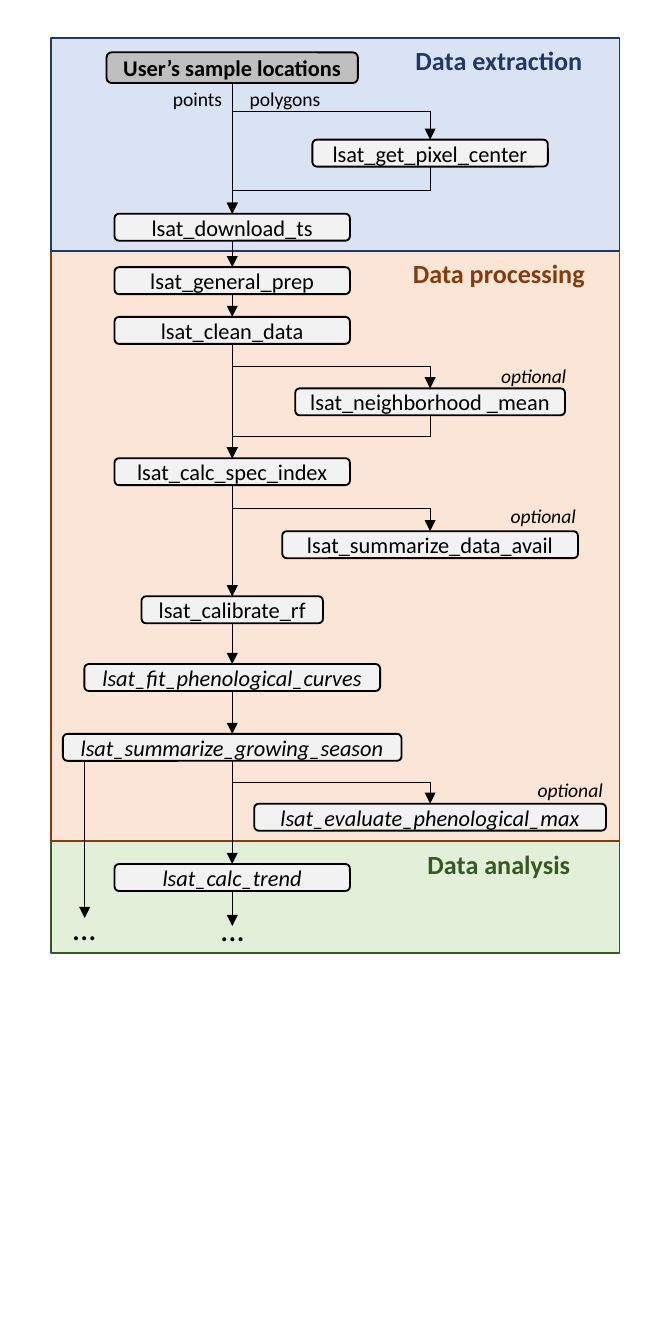
from typing import NamedTuple

from lxml import etree
from pptx import Presentation
from pptx.dml.color import RGBColor
from pptx.enum.shapes import MSO_CONNECTOR, MSO_SHAPE
from pptx.enum.text import MSO_ANCHOR, PP_ALIGN
from pptx.oxml.ns import qn
from pptx.util import Cm, Pt

RECT, ROUNDED = MSO_SHAPE.RECTANGLE, MSO_SHAPE.ROUNDED_RECTANGLE
STRAIGHT, ELBOW = MSO_CONNECTOR.STRAIGHT, MSO_CONNECTOR.ELBOW
LEFT, CENTER = PP_ALIGN.LEFT, PP_ALIGN.CENTER
MIDDLE = MSO_ANCHOR.MIDDLE

BLACK = RGBColor(0x00, 0x00, 0x00)
GREY = RGBColor(0xBF, 0xBF, 0xBF)
PALE_GREY = RGBColor(0xF2, 0xF2, 0xF2)
BLUE, PALE_BLUE = RGBColor(0x20, 0x38, 0x64), RGBColor(0xDA, 0xE3, 0xF3)
BROWN, PALE_ORANGE = RGBColor(0x84, 0x3C, 0x0B), RGBColor(0xFB, 0xE5, 0xD6)
GREEN, PALE_GREEN = RGBColor(0x38, 0x57, 0x23), RGBColor(0xE2, 0xF0, 0xD9)

FONT = "Calibri"
MAIN, SIDE = 4.39, 8.13  # centre lines of the two columns, in cm
PANEL_LEFT, PANEL_WIDTH, TITLE_CENTER = 0.97, 10.74, 9.43
TOP_SITE, BOTTOM_SITE = 0, 2


class Panel(NamedTuple):
    title: str
    title_width: float
    top: float
    height: float
    color: RGBColor
    fill: RGBColor


class Step(NamedTuple):
    text: str
    center: float
    top: float
    width: float = 4.45
    height: float = 0.51
    italic: bool = False
    bold: bool = False
    fill: RGBColor = PALE_GREY


class Label(NamedTuple):
    text: str
    left: float
    top: float
    width: float = 1.78
    height: float = 0.71
    size: float = 10.5
    italic: bool = True


PANELS = [
    Panel("Data analysis", 3.23, 15.9, 2.11, GREEN, PALE_GREEN),
    Panel("Data processing", 3.76, 4.74, 11.16, BROWN, PALE_ORANGE),
    Panel("Data extraction", 3.73, 0.72, 4.02, BLUE, PALE_BLUE),
]
STEPS = {
    "samples": Step("User’s sample locations", MAIN, 0.99, 4.75, 0.58,
                    bold=True, fill=GREY),
    "pixel": Step("lsat_get_pixel_center", SIDE, 2.64),
    "download": Step("lsat_download_ts", MAIN, 4.04),
    "prep": Step("lsat_general_prep", MAIN, 5.05),
    "clean": Step("lsat_clean_data", MAIN, 5.99),
    "neighborhood": Step("lsat_neighborhood _mean", SIDE, 7.34, 5.1),
    "index": Step("lsat_calc_spec_index", MAIN, 8.66),
    "avail": Step("lsat_summarize_data_avail", SIDE, 10.04, 5.59),
    "calibrate": Step("lsat_calibrate_rf", MAIN, 11.27, 3.43),
    "curves": Step("lsat_fit_phenological_curves", MAIN, 12.55, 5.59, italic=True),
    "season": Step("lsat_summarize_growing_season", MAIN, 13.87, 6.4, italic=True),
    "max": Step("lsat_evaluate_phenological_max", SIDE, 15.19, 6.65, italic=True),
    "trend": Step("lsat_calc_trend", MAIN, 16.33, italic=True),
}
BRANCHES = [
    ("samples", "pixel"), ("pixel", "download"), ("clean", "neighborhood"),
    ("neighborhood", "index"), ("index", "avail"), ("season", "max"),
]
LABELS = [
    Label("points", 3.02, 1.52, 1.45, italic=False),
    Label("polygons", 4.47, 1.52, 1.88, italic=False),
    Label("optional", 9.22, 6.76),
    Label("optional", 9.4, 9.4),
    Label("optional", 9.91, 14.58),
    Label("…", 1.14, 17.02, 1, 1.02, 18),
    Label("…", 3.94, 17.04, 1, 1.02, 18),
]


def write(sp, text: str, size: float, color: RGBColor, align,
          bold: bool = False, italic: bool = False) -> None:
    p = sp.text_frame.paragraphs[0]
    p.text, p.alignment = text, align
    font = p.font
    font.name, font.size, font.bold, font.italic = FONT, Pt(size), bold, italic
    font.color.rgb = color


def add_box(s, kind, left: float, top: float, width: float, height: float,
            fill: RGBColor, line: RGBColor):
    sp = s.shapes.add_shape(kind, Cm(left), Cm(top), Cm(width), Cm(height))
    sp.shadow.inherit = False
    sp.fill.solid()
    sp.fill.fore_color.rgb = fill
    sp.line.color.rgb, sp.line.width = line, Pt(1)
    return sp


def add_text(s, label: Label, color: RGBColor = BLACK, align=LEFT,
             bold: bool = False) -> None:
    sp = s.shapes.add_textbox(Cm(label.left), Cm(label.top),
                              Cm(label.width), Cm(label.height))
    sp.text_frame.word_wrap = False
    write(sp, label.text, label.size, color, align, bold, label.italic)


def add_panel(s, panel: Panel) -> None:
    add_box(s, RECT, PANEL_LEFT, panel.top, PANEL_WIDTH, panel.height,
            panel.fill, panel.color)
    title = Label(panel.title, TITLE_CENTER - panel.title_width / 2, panel.top,
                  panel.title_width, 0.86, 14, False)
    add_text(s, title, panel.color, CENTER, True)


def add_step(s, step: Step):
    sp = add_box(s, ROUNDED, step.center - step.width / 2, step.top,
                 step.width, step.height, step.fill, BLACK)
    tf = sp.text_frame
    tf.margin_left = tf.margin_right = tf.margin_top = tf.margin_bottom = 0
    tf.vertical_anchor = MIDDLE
    write(sp, step.text, 12, BLACK, CENTER, step.bold, step.italic)
    return sp


def add_arrow(s, kind=STRAIGHT, x: float = 0, top: float = 0, bottom: float = 0):
    c = s.shapes.add_connector(kind, Cm(x), Cm(top), Cm(x), Cm(bottom))
    c.line.color.rgb, c.line.width = BLACK, Pt(0.5)
    etree.SubElement(c.line._get_or_add_ln(), qn("a:tailEnd"), type="triangle")
    etree.SubElement(c._element.spPr, qn("a:effectLst"))
    return c


def join(s, start, end, kind=STRAIGHT):
    c = add_arrow(s, kind)
    c.begin_connect(start, BOTTOM_SITE)
    c.end_connect(end, TOP_SITE)
    return c


def add_branch(s, start, end) -> None:
    """Elbow that leaves downwards: a quarter turn of the sideways one."""
    c = join(s, start, end, ELBOW)
    rightward = c.end_x > c.begin_x
    mid_x, mid_y = c.left + c.width // 2, c.top + c.height // 2
    c.width, c.height = c.height, c.width
    c.left, c.top = mid_x - c.width // 2, mid_y - c.height // 2
    xfrm = c._element.spPr.find(qn("a:xfrm"))
    xfrm.set("rot", str((270 if rightward else 90) * 60000))
    xfrm.set("flipH", "1" if rightward else "0")


def main() -> None:
    prs = Presentation()
    prs.slide_width, prs.slide_height = Cm(12.7), Cm(25.4)
    s = prs.slides.add_slide(prs.slide_layouts[6])

    # Stages
    for panel in PANELS:
        add_panel(s, panel)

    # Steps
    boxes = {key: add_step(s, step) for key, step in STEPS.items()}

    # Main flow and side branches
    flow = [key for key, step in STEPS.items() if step.center == MAIN]
    for start, end in zip(flow, flow[1:]):
        join(s, boxes[start], boxes[end])
    for start, end in BRANCHES:
        add_branch(s, boxes[start], boxes[end])

    # Open ends
    add_arrow(s, x=1.6, top=14.36, bottom=17.35)
    add_arrow(s, x=MAIN, top=16.84, bottom=17.5)

    # Labels
    for label in LABELS:
        add_text(s, label)

    prs.save("out.pptx")


if __name__ == "__main__":
    main()
